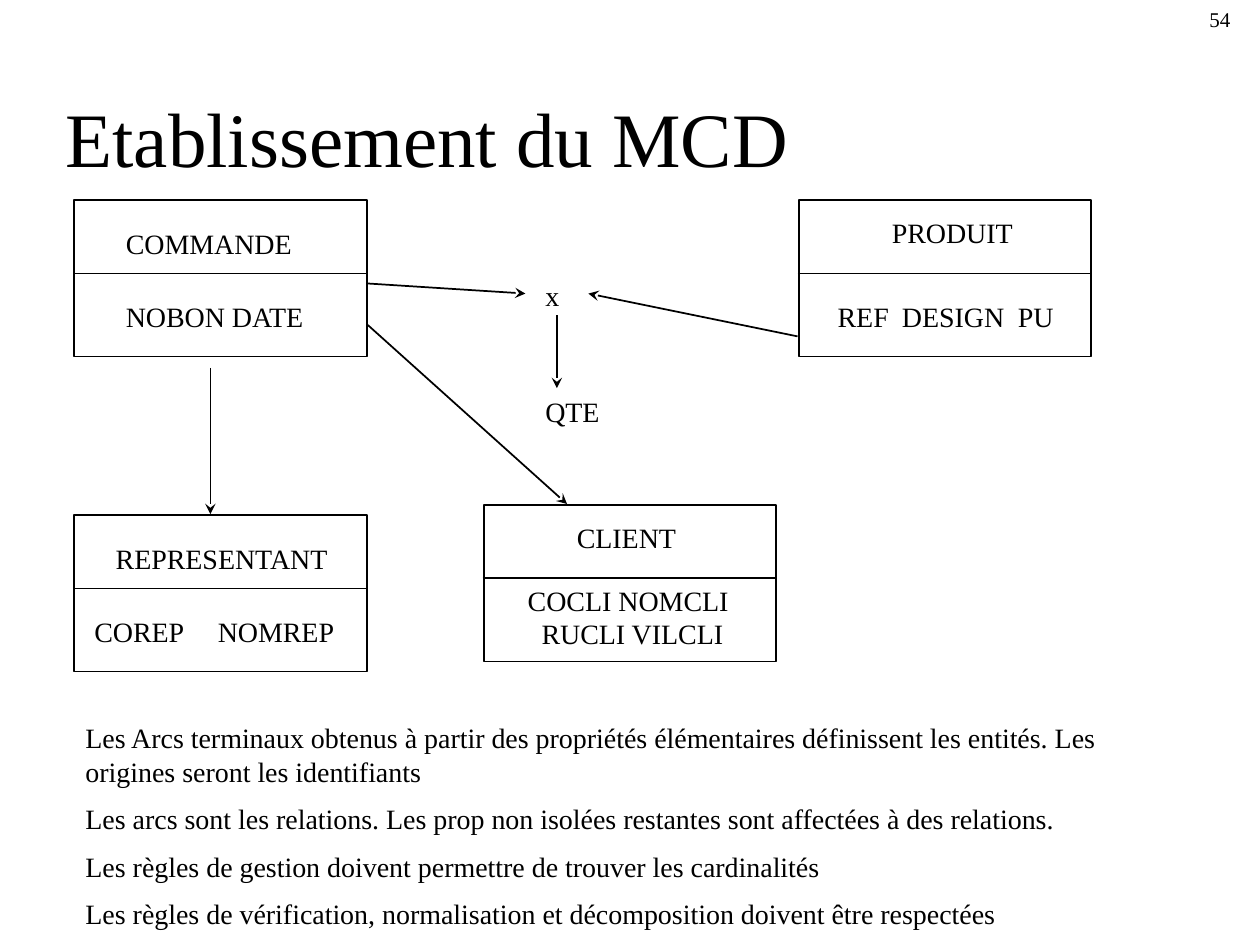
from lxml.etree import SubElement
from pptx import Presentation
from pptx.dml.color import RGBColor
from pptx.enum.shapes import MSO_CONNECTOR, MSO_SHAPE
from pptx.enum.text import MSO_ANCHOR, MSO_AUTO_SIZE, PP_ALIGN
from pptx.oxml.ns import qn
from pptx.util import Inches, Pt

BLACK = RGBColor(0, 0, 0)
FONT = "Times New Roman"
ENTITY_WIDTH, ENTITY_HEIGHT, HEADER_HEIGHT = 2.32, 1.24, 0.58


def write(para, text, size=16, before=0, indent=0, tabs=()):
    """Fill a paragraph with one formatted span; tabs are in inches."""
    para.alignment = PP_ALIGN.LEFT
    para.space_before = Pt(before)
    properties = para._p.get_or_add_pPr()
    if indent:
        properties.set("marL", str(Inches(indent)))
    if tabs:
        stops = SubElement(properties, qn("a:tabLst"))
        for position in tabs:
            SubElement(stops, qn("a:tab"), pos=str(Inches(position)), algn="l")
    span = para.add_run()
    span.text = text
    span.font.name = FONT
    span.font.size = Pt(size)
    span.font.color.rgb = BLACK


class Diagram:
    def __init__(self, page, line_width=1):
        self.page = page
        self.line_width = Pt(line_width)

    def title(self, text, left, top, width, height):
        box = self.page.shapes.title
        box.left, box.top = Inches(left), Inches(top)
        box.width, box.height = Inches(width), Inches(height)
        frame = box.text_frame
        frame.auto_size = MSO_AUTO_SIZE.NONE
        frame.vertical_anchor = MSO_ANCHOR.BOTTOM
        write(frame.paragraphs[0], text, size=44)

    def text(self, lines, left, top, width, height=0.37, wrap=False, gap=0, size=16):
        """Each line is a string or a (string, format) pair."""
        box = self.page.shapes.add_textbox(
            Inches(left), Inches(top), Inches(width), Inches(height))
        frame = box.text_frame
        frame.word_wrap = wrap
        frame.auto_size = MSO_AUTO_SIZE.SHAPE_TO_FIT_TEXT
        for index, line in enumerate(lines):
            text, style = (line, {}) if isinstance(line, str) else line
            para = frame.add_paragraph() if index else frame.paragraphs[0]
            write(para, text, size=size, before=gap if index else 0, **style)

    def line(self, start, end, arrow=False):
        connector = self.page.shapes.add_connector(
            MSO_CONNECTOR.STRAIGHT, *map(Inches, start + end))
        connector.line.color.rgb = BLACK
        connector.line.width = self.line_width
        if arrow:
            SubElement(connector.line._get_or_add_ln(), qn("a:tailEnd"), type="stealth")
        SubElement(connector._element.spPr, qn("a:effectLst"))

    def entity(self, left, top):
        box = self.page.shapes.add_shape(
            MSO_SHAPE.RECTANGLE, Inches(left), Inches(top),
            Inches(ENTITY_WIDTH), Inches(ENTITY_HEIGHT))
        box.shadow.inherit = False
        box.fill.background()
        box.line.color.rgb = BLACK
        box.line.width = self.line_width
        middle = top + HEADER_HEIGHT
        self.line((left - 0.01, middle), (left + ENTITY_WIDTH + 0.01, middle))


def main():
    deck = Presentation()
    deck.slide_width, deck.slide_height = Inches(10), Inches(7.5)
    page = deck.slides.add_slide(deck.slide_layouts[5])
    diagram = Diagram(page)
    diagram.title("Etablissement du MCD", 0.42, 0.33, 8.46, 1.17)

    # Entity frames
    for left, top in [(0.59, 1.59), (6.34, 1.59), (0.59, 4.09), (3.84, 4.01)]:
        diagram.entity(left, top)

    # Entity names, properties and the relation
    labels = [
        (["COMMANDE"], 0.9, 1.75, 1.52),
        (["NOBON DATE"], 0.9, 2.33, 1.64),
        (["REPRESENTANT"], 0.82, 4.25, 1.9),
        ([("COREP\tNOMREP", {"tabs": [0.98]})], 0.65, 4.83, 2.12),
        (["PRODUIT"], 6.98, 1.66, 1.16),
        ([("REF\tDESIGN\tPU", {"tabs": [0.51, 1.43]})], 6.55, 2.33, 1.93),
        (["CLIENT"], 4.48, 4.08, 0.99),
        ([("COCLI\tNOMCLI", {"tabs": [0.72]}),
          ("RUCLI VILCLI", {"indent": 0.11})], 4.09, 4.58, 1.86, 0.64),
        (["x"], 4.23, 2.16, 0.31),
        (["QTE"], 4.23, 3.08, 0.63),
    ]
    for label in labels:
        diagram.text(*label)

    # Arcs
    arcs = [
        ((1.67, 2.92), (1.67, 4.08)),
        ((2.92, 2.58), (4.5, 4)),
        ((6.33, 2.67), (4.67, 2.33)),
        ((2.92, 2.25), (4.17, 2.33)),
        ((4.42, 2.5), (4.42, 3.08)),
    ]
    for start, end in arcs:
        diagram.line(start, end, arrow=True)

    # Rules and page number
    diagram.text([
        "Les Arcs terminaux obtenus à partir des propriétés élémentaires "
        "définissent les entités. Les origines seront les identifiants",
        "Les arcs sont les relations. Les prop non isolées restantes sont "
        "affectées à des relations.",
        "Les règles de gestion doivent permettre de trouver les cardinalités",
        "Les règles de vérification, normalisation et décomposition doivent "
        "être respectées",
    ], 0.58, 5.67, 8.75, 1.84, wrap=True, gap=8)
    diagram.text(["54"], 9.5, 0, 0.5, 0.3, wrap=True, size=12)

    deck.save("out.pptx")


if __name__ == "__main__":
    main()
